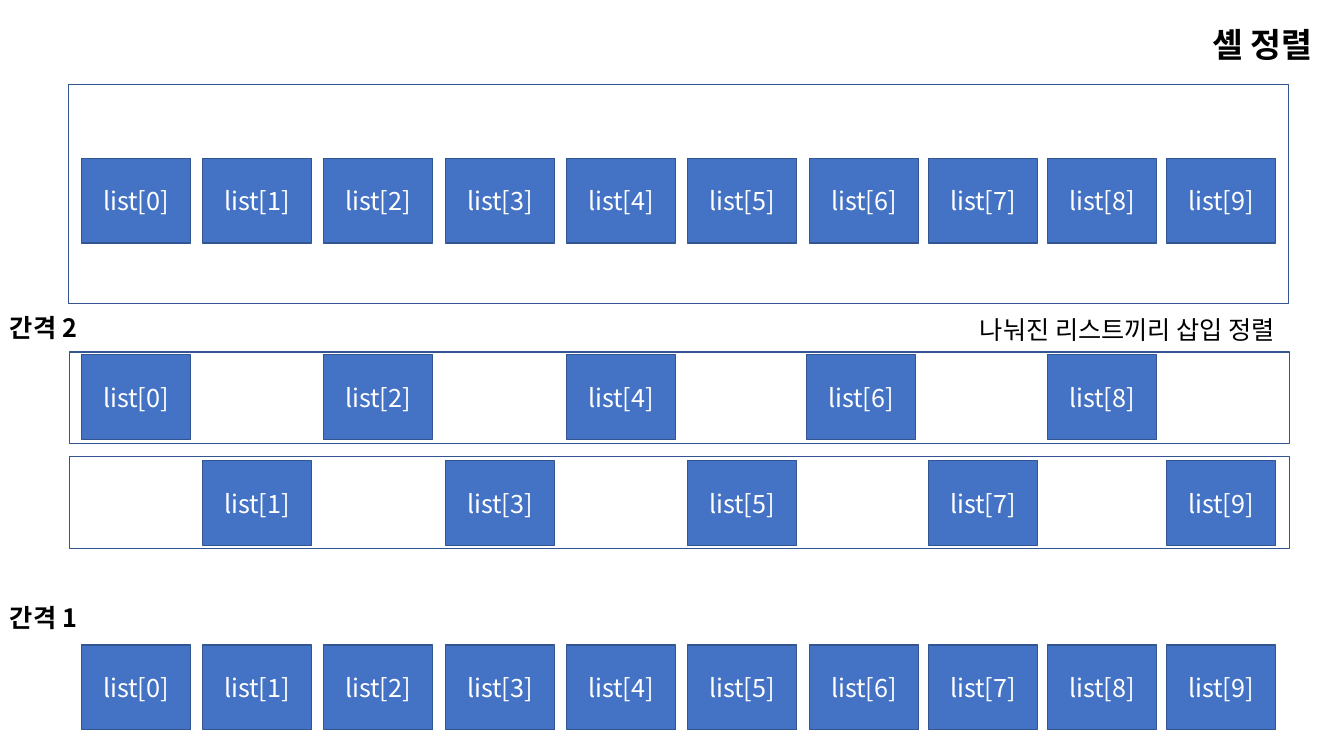
import pptx
import pptx.util
import pptx.dml.color
import pptx.enum.shapes
import pptx.enum.text

PIXEL = 9144
FONT = "Noto Sans CJK KR"
BLACK, WHITE, BLUE, NAVY = "000000", "FFFFFF", "4472C4", "325491"

TITLE = ("셸 정렬", (998, 19, 314, 50))
LABELS = [
    ("간격 2", (0, 305, 93, 40), True),
    ("나눠진 리스트끼리 삽입 정렬", (962, 307, 350, 40), False),
    ("간격 1", (0, 593, 93, 40), True),
]
FRAMES = [(68, 84, 1210, 217), (69, 349, 1210, 91), (69, 453, 1210, 91)]
ROWS = [
    {"top": 157, "indexes": range(10), "shifts": {}},
    {"top": 352, "indexes": range(0, 10, 2), "shifts": {6: -3}},
    {"top": 457, "indexes": range(1, 10, 2), "shifts": {}},
    {"top": 640, "indexes": range(10), "shifts": {}},
]
CELL_WIDTH, CELL_HEIGHT = 108, 84
FIRST_LEFT, WIDE_COLUMNS, WIDE_SPAN, NARROW_STEP = 81, 6, 722, 118

ALIGN = pptx.enum.text.PP_ALIGN
ANCHOR = pptx.enum.text.MSO_ANCHOR
AUTO_SIZE = pptx.enum.text.MSO_AUTO_SIZE


def color(value):
    return pptx.dml.color.RGBColor.from_string(value)


def scaled(box):
    return [length * PIXEL for length in box]


def apply(target, formats):
    for name, value in formats.items():
        setattr(target, name, value)


def write(shape, text, frame_format, alignment, size, ink, bold=False):
    text_frame = shape.text_frame
    apply(text_frame, frame_format)
    paragraph = text_frame.paragraphs[0]
    paragraph.alignment = alignment
    run = paragraph.add_run()
    run.text = text
    apply(run.font, {"name": FONT, "size": pptx.util.Pt(size), "bold": bold})
    run.font.color.rgb = color(ink)


def add_process(slide, box, fill=None):
    shape = slide.shapes.add_shape(
        pptx.enum.shapes.MSO_SHAPE.FLOWCHART_PROCESS, *scaled(box))
    shape.shadow.inherit = False
    if fill:
        shape.fill.solid()
        shape.fill.fore_color.rgb = color(fill)
    else:
        shape.fill.background()
    shape.line.color.rgb = color(NAVY)
    shape.line.width = pptx.util.Pt(1)
    return shape


def column_left(index):
    wide = min(index, WIDE_COLUMNS) * WIDE_SPAN // WIDE_COLUMNS
    return FIRST_LEFT + wide + max(index - WIDE_COLUMNS, 0) * NARROW_STEP


def main():
    presentation = pptx.Presentation()
    presentation.slide_width = 1333 * PIXEL
    presentation.slide_height = 750 * PIXEL
    slide = presentation.slides.add_slide(presentation.slide_layouts[5])

    text, box = TITLE
    title = slide.shapes.title
    apply(title, dict(zip(("left", "top", "width", "height"), scaled(box))))
    title_format = {"word_wrap": True, "vertical_anchor": ANCHOR.TOP,
                    "auto_size": AUTO_SIZE.SHAPE_TO_FIT_TEXT}
    write(title, text, title_format, ALIGN.RIGHT, 24, BLACK, True)

    for frame in FRAMES:
        add_process(slide, frame)

    cell_format = {"word_wrap": True, "vertical_anchor": ANCHOR.MIDDLE}
    for row in ROWS:
        for index in row["indexes"]:
            left = column_left(index) + row["shifts"].get(index, 0)
            cell = add_process(slide, (left, row["top"], CELL_WIDTH, CELL_HEIGHT), BLUE)
            write(cell, f"list[{index}]", cell_format, ALIGN.CENTER, 18, WHITE)

    label_format = {"word_wrap": False, "auto_size": AUTO_SIZE.SHAPE_TO_FIT_TEXT}
    for text, box, bold in LABELS:
        label = slide.shapes.add_textbox(*scaled(box))
        write(label, text, label_format, ALIGN.LEFT, 18, BLACK, bold)

    presentation.save("out.pptx")


if __name__ == "__main__":
    main()
